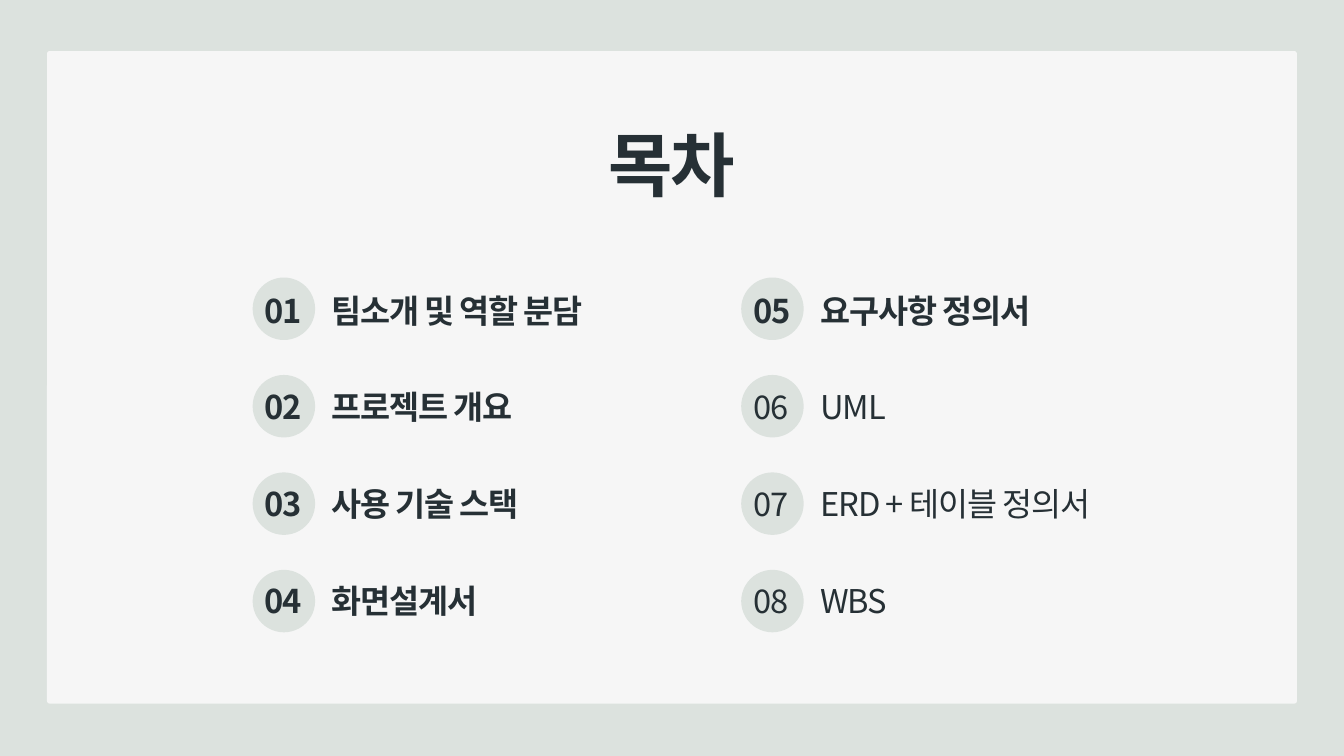
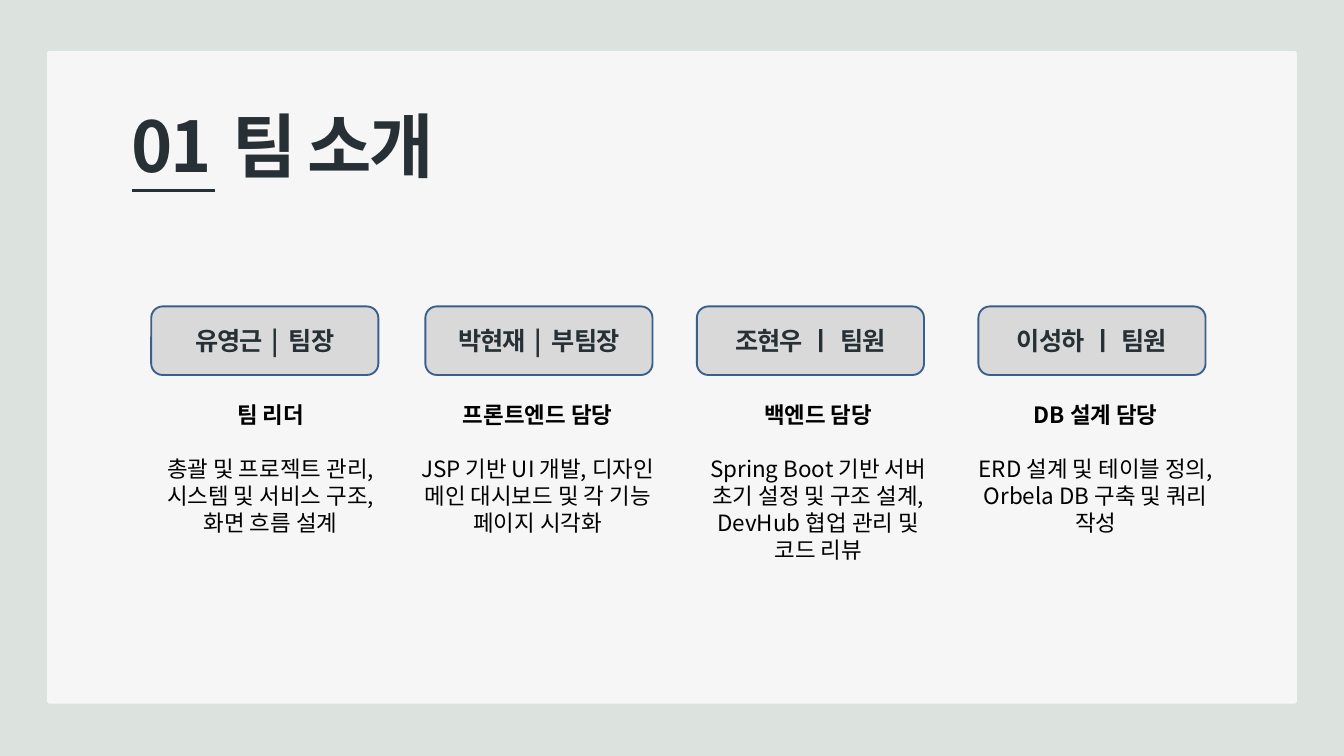
from dataclasses import dataclass

from lxml import etree
from pptx import Presentation
from pptx.dml.color import RGBColor
from pptx.enum import shapes, text
from pptx.oxml import ns
from pptx.util import Inches, Pt


@dataclass(frozen=True)
class Theme:
    font: str = "Noto Sans CJK KR"
    background: str = "DCE2DE"
    panel: str = "F6F6F6"
    ink: str = "263035"
    black: str = "000000"
    card: str = "D9D9D9"
    card_border: str = "3A5F8C"
    title_size: float = 75
    item_size: float = 35
    name_size: float = 27
    duty_size: float = 24


THEME = Theme()

CONTENTS_COLUMNS = [
    (3.76, 0.96, [
        ("01", "팀소개 및 역할 분담", True),
        ("02", "프로젝트 개요", True),
        ("03", "사용 기술 스택", True),
        ("04", "화면설계서", True),
    ]),
    (11.03, 0.81, [
        ("05", "요구사항 정의서", True),
        ("06", "UML", False),
        ("07", "ERD + 테이블 정의서", False),
        ("08", "WBS", False),
    ]),
]
BOLD_TAB = 0.96
ROW_TOP, ROW_PITCH, BADGE_SIZE = 4.13, 1.45, 0.93

MEMBERS = [
    (2.25, "유영근", "|", "팀장", 2.17, 3.71, "팀 리더",
     ["총괄 및 프로젝트 관리,", "시스템 및 서비스 구조, 화면 흐름 설계"]),
    (6.33, "박현재", "|", "부팀장", 6, 4, "프론트엔드 담당",
     ["JSP 기반 UI 개발, 디자인", "메인 대시보드 및 각 기능 페이지 시각화"]),
    (10.37, "조현우", "ㅣ", "팀원", 10.31, 3.73, "백엔드 담당",
     ["Spring Boot 기반 서버 초기 설정 및 구조 설계,", "DevHub 협업 관리 및 코드 리뷰"]),
    (14.56, "이성하", "ㅣ", "팀원", 14.25, 4.11, "DB 설계 담당",
     ["ERD 설계 및 테이블 정의,", "Orbela DB 구축 및 쿼리 작성"]),
]
SEPARATOR_SPACING = {"|": 2.5, "ㅣ": 0.8}


def add_xml(parent, tag, **attributes):
    return etree.SubElement(parent, ns.qn(tag), attributes)


def set_spacing(font, points):
    font._element.set("spc", str(round(points * 100)))


def format_paragraph(paragraph, size, color=THEME.ink, bold=False, spacing=0,
                     line=None, align=text.PP_ALIGN.LEFT, tab=None):
    paragraph.alignment = align
    if line:
        paragraph.line_spacing = Pt(line)
    if tab:
        properties = paragraph._p.get_or_add_pPr()
        properties.set("marL", "0")
        properties.set("indent", "0")
        add_xml(properties, "a:buNone")
        tabs = add_xml(properties, "a:tabLst")
        add_xml(tabs, "a:tab", pos=str(Inches(tab)), algn="l")
    font = paragraph.font
    font.size = Pt(size)
    font.bold = bold
    font.color.rgb = RGBColor.from_string(color)
    font.name = THEME.font
    font_element = font._element
    add_xml(font_element, "a:ea", typeface=THEME.font)
    if spacing:
        set_spacing(font, spacing)


def prepare_frame(shape, margin=0):
    frame = shape.text_frame
    frame.word_wrap = True
    frame.auto_size = text.MSO_AUTO_SIZE.NONE
    frame.vertical_anchor = text.MSO_ANCHOR.TOP
    frame.margin_left = frame.margin_right = Inches(margin)
    frame.margin_top = frame.margin_bottom = Inches(margin / 2)
    return frame


def place(shape, left, top, width, height):
    shape.left, shape.top = Inches(left), Inches(top)
    shape.width, shape.height = Inches(width), Inches(height)


def add_block(slide, kind, box, fill, border=None):
    shape = slide.shapes.add_shape(kind, *map(Inches, box))
    shape.shadow.inherit = False
    shape.fill.solid()
    shape.fill.fore_color.rgb = RGBColor.from_string(fill)
    if border:
        shape.line.color.rgb = RGBColor.from_string(border)
        shape.line.width = Pt(2)
    else:
        shape.line.fill.background()
    return shape


def send_to_back(slide, shape):
    slide.shapes._spTree.insert(2, shape._element)


def add_panel(slide):
    panel = add_block(slide, shapes.MSO_SHAPE.ROUNDED_RECTANGLE,
                      (0.7, 0.76, 18.6, 9.71), THEME.panel)
    panel.adjustments[0] = 0.004
    send_to_back(slide, panel)


def set_title(slide, title, box, align, tab=None):
    shape = slide.shapes.title
    place(shape, *box)
    paragraph = prepare_frame(shape).paragraphs[0]
    paragraph.add_run().text = title
    format_paragraph(paragraph, THEME.title_size, bold=True, spacing=-2.7,
                     line=89.2, align=align, tab=tab)


def fill_contents_list(placeholder, left, regular_tab, items):
    place(placeholder, left + 0.18, ROW_TOP + 0.2, 7, 5)
    frame = prepare_frame(placeholder)
    for index, (number, label, bold) in enumerate(items):
        paragraph = frame.paragraphs[0] if index == 0 else frame.add_paragraph()
        paragraph.add_run().text = f"{number}\t{label}"
        paragraph.space_before = Pt(0)
        paragraph.space_after = Pt(61.8)
        format_paragraph(paragraph, THEME.item_size, bold=bold, spacing=-1.3,
                         line=41.7, tab=BOLD_TAB if bold else regular_tab)


def add_badges(slide, left, count):
    for row in range(count):
        badge = add_block(slide, shapes.MSO_SHAPE.OVAL,
                          (left, ROW_TOP + row * ROW_PITCH, BADGE_SIZE, BADGE_SIZE),
                          THEME.background)
        send_to_back(slide, badge)


def add_underline(slide, left, right, top):
    line = slide.shapes.add_connector(shapes.MSO_CONNECTOR.STRAIGHT, Inches(left),
                                      Inches(top), Inches(right), Inches(top))
    line.line.color.rgb = RGBColor.from_string(THEME.ink)
    line.line.width = Pt(3)
    add_xml(line._element.spPr, "a:effectLst")


def add_name_card(slide, left, name, separator, role):
    card = add_block(slide, shapes.MSO_SHAPE.ROUNDED_RECTANGLE,
                     (left, 4.56, 3.38, 1.02), THEME.card, THEME.card_border)
    frame = prepare_frame(card)
    frame.vertical_anchor = text.MSO_ANCHOR.MIDDLE
    paragraph = frame.paragraphs[0]
    for part in (name, f" {separator} ", role):
        paragraph.add_run().text = part
    format_paragraph(paragraph, THEME.name_size, bold=True, spacing=-0.9,
                     line=32.1, align=text.PP_ALIGN.CENTER)
    set_spacing(paragraph.runs[1].font, SEPARATOR_SPACING[separator])


def add_duties(slide, left, width, heading, duties):
    box = slide.shapes.add_textbox(Inches(left), Inches(5.92), Inches(width), Inches(2.12))
    frame = prepare_frame(box, margin=0.1)
    for index, line in enumerate([heading, *duties]):
        paragraph = frame.paragraphs[0] if index == 0 else frame.add_paragraph()
        paragraph.add_run().text = line
        if index == 0:
            paragraph.space_after = Pt(29)
        format_paragraph(paragraph, THEME.duty_size, THEME.black, bold=index == 0,
                         align=text.PP_ALIGN.CENTER)


def build_contents(presentation):
    slide = presentation.slides.add_slide(presentation.slide_layouts.get_by_name("Two Content"))
    set_title(slide, "목차", (7.05, 1.82, 5.89, 1.28), text.PP_ALIGN.CENTER)
    bodies = list(slide.placeholders)[1:]
    for body, (left, regular_tab, items) in zip(bodies, CONTENTS_COLUMNS):
        fill_contents_list(body, left, regular_tab, items)
        add_badges(slide, left, len(items))
    add_panel(slide)


def build_team(presentation):
    slide = presentation.slides.add_slide(presentation.slide_layouts.get_by_name("Title Only"))
    set_title(slide, "01\t팀 소개", (1.96, 1.53, 9.27, 1.28), text.PP_ALIGN.LEFT, tab=1.88)
    add_underline(slide, 1.96, 3.2, 2.83)
    for card_left, name, separator, role, left, width, heading, duties in MEMBERS:
        add_name_card(slide, card_left, name, separator, role)
        add_duties(slide, left, width, heading, duties)
    add_panel(slide)


def main():
    presentation = Presentation()
    presentation.slide_width = Inches(20)
    presentation.slide_height = Inches(11.25)
    background = presentation.slide_master.background.fill
    background.solid()
    background.fore_color.rgb = RGBColor.from_string(THEME.background)
    build_contents(presentation)
    build_team(presentation)
    presentation.save("out.pptx")


if __name__ == "__main__":
    main()
